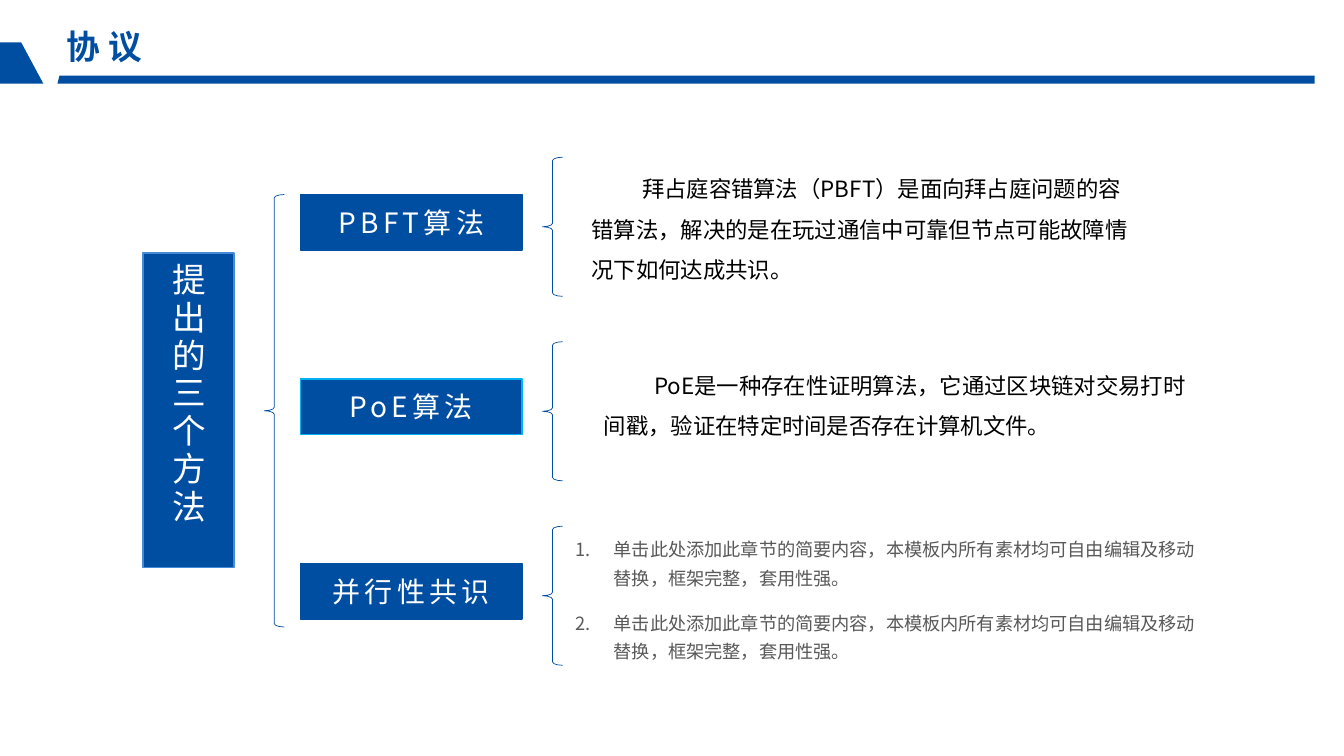
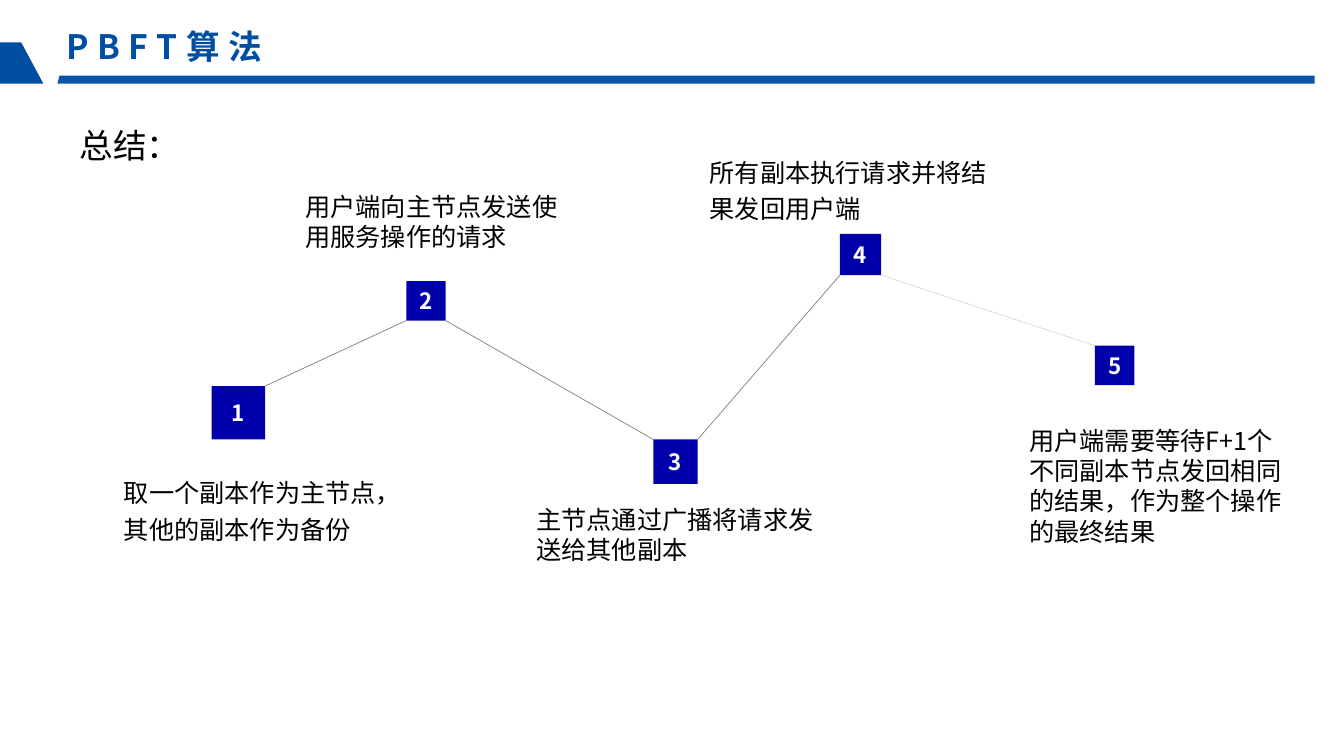
from itertools import pairwise

from lxml import etree
from pptx import Presentation
from pptx.dml.color import RGBColor
from pptx.enum.shapes import MSO_CONNECTOR, MSO_SHAPE
from pptx.enum.text import MSO_ANCHOR, PP_ALIGN
from pptx.oxml.ns import qn
from pptx.util import Inches, Pt

RECT, BRACE = MSO_SHAPE.RECTANGLE, MSO_SHAPE.LEFT_BRACE
STRAIGHT = MSO_CONNECTOR.STRAIGHT
TOP, MIDDLE = MSO_ANCHOR.TOP, MSO_ANCHOR.MIDDLE
LEFT, CENTER = PP_ALIGN.LEFT, PP_ALIGN.CENTER

FONT = "Noto Sans CJK SC"
COLORS = {
    "main": "004EA2", "edge": "448AD7", "cyan": "00B0F0", "navy": "0000AB",
    "white": "FFFFFF", "black": "000000", "text": "595959",
    "link": "808080", "pale": "BFBFBF",
}


def color(name):
    return RGBColor.from_string(COLORS[name])


class Deck:
    def __init__(self):
        self.file = Presentation()
        self.file.slide_width = Inches(13.33)
        self.file.slide_height = Inches(7.5)
        self.slide = None

    def start(self, title, width, alpha=100):
        """Add a slide with the shared header band and title."""
        self.slide = self.file.slides.add_slide(self.file.slide_layouts[6])
        band = self.outline([(0.57, 0.83), (13.04, 0.83), (13.04, 0.75), (0.59, 0.75)])
        if alpha < 100:
            tint = band._element.spPr.find(qn("a:solidFill"))[0]
            etree.SubElement(tint, qn("a:alpha"), val=str(alpha * 1000))
        self.outline([(0.21, 0.42), (0.43, 0.83), (-0.02, 0.83), (-0.02, 0.42)])
        box = self.text(0.66, 0.25, width, 0.42, [title], 24, "main",
                        bold=True, gap=6, anchor=MIDDLE)
        box.text_frame.margin_left = box.text_frame.margin_right = 0

    def outline(self, points):
        points = [(Inches(x), Inches(y)) for x, y in points]
        pen = self.slide.shapes.build_freeform(*points[0])
        pen.add_line_segments(points[1:])
        return self.paint(pen.convert_to_shape(), "main")

    def paint(self, shape, fill=None, line=None, width=1):
        shape.shadow.inherit = False
        if fill:
            shape.fill.solid()
            shape.fill.fore_color.rgb = color(fill)
        else:
            shape.fill.background()
        if line:
            shape.line.color.rgb = color(line)
            shape.line.width = Pt(width)
        else:
            shape.line.fill.background()
        return shape

    def label(self, shape, lines, size, ink, bold=False, gap=0, align=LEFT,
              anchor=TOP, space=1.0):
        frame = shape.text_frame
        frame.word_wrap = True
        frame.vertical_anchor = anchor
        frame.text = "\n".join(lines)
        for par in frame.paragraphs:
            par.alignment = align
            par.line_spacing = space
            font = par.font
            font.name, font.size, font.bold = FONT, Pt(size), bold
            font.color.rgb = color(ink)
            etree.SubElement(font._element, qn("a:ea"), typeface=FONT)
            if gap:
                font._element.set("spc", str(gap * 100))
        return shape

    def text(self, x, y, w, h, lines, size, ink="black", **style):
        box = self.slide.shapes.add_textbox(Inches(x), Inches(y), Inches(w), Inches(h))
        return self.label(box, lines, size, ink, **style)

    def block(self, x, y, w, h, name, size, fill="main", line=None, **style):
        shape = self.slide.shapes.add_shape(RECT, Inches(x), Inches(y), Inches(w), Inches(h))
        self.paint(shape, fill, line)
        return self.label(shape, [name], size, "white", align=CENTER, anchor=MIDDLE, **style)

    def brace(self, x, y, h):
        shape = self.slide.shapes.add_shape(BRACE, Inches(x), Inches(y), Inches(0.2), Inches(h))
        shape.adjustments[0] = 0.171
        self.paint(shape, line="main", width=0.5)

    def link(self, x1, y1, x2, y2, ink, width):
        line = self.slide.shapes.add_connector(
            STRAIGHT, Inches(x1), Inches(y1), Inches(x2), Inches(y2))
        line.line.color.rgb = color(ink)
        line.line.width = Pt(width)
        etree.SubElement(line._element.spPr, qn("a:effectLst"))

    def indent(self, box, left, first, number=False):
        for par in box.text_frame.paragraphs:
            props = par._p.get_or_add_pPr()
            props.set("marL", str(Inches(left)))
            props.set("indent", str(Inches(first)))
            if number:
                par.space_before = par.space_after = Pt(6)
                mark = etree.Element(qn("a:buAutoNum"), type="arabicPeriod")
                props.find(qn("a:defRPr")).addprevious(mark)


def methods(deck):
    deck.start("协议", 2.02)

    # Root
    root = deck.block(1.42, 2.51, 0.9, 3.12, "提出的三个方法", 24, line="edge", gap=3)
    root.text_frame._txBody.bodyPr.set("vert", "eaVert")
    deck.brace(2.62, 1.93, 4.29)

    # Branches
    names = [("PBFT算法", "main"), ("PoE算法", "cyan"), ("并行性共识", "main")]
    for i, (name, edge) in enumerate(names):
        y = 1.56 + 1.83 * i
        deck.block(2.98, y + 0.37, 2.2, 0.55, name, 20, line=edge, gap=3)
        deck.brace(5.38, y, 1.38)

    # Details
    notes = [
        (5.77, 1.56, 5.64, 1.31, "拜占庭容错算法（PBFT）是面向拜占庭问题的容错算法，"
         "解决的是在玩过通信中可靠但节点可能故障情况下如何达成共识。"),
        (5.89, 3.51, 6, 0.91, "PoE是一种存在性证明算法，它通过区块链对交易打时间戳，"
         "验证在特定时间是否存在计算机文件。"),
    ]
    for x, y, w, h, note in notes:
        deck.indent(deck.text(x, y, w, h, [note], 16, space=1.5), 0, 0.5)
    hint = "单击此处添加此章节的简要内容，本模板内所有素材均可自由编辑及移动替换，框架完整，套用性强。"
    box = deck.text(5.61, 5.23, 6.34, 1.4, [hint] * 2, 13, "text", space=1.3)
    deck.indent(box, 0.38, -0.38, number=True)


def steps(deck):
    deck.start("PBFT算法", 2.14, alpha=96)
    deck.text(0.69, 1.19, 3.01, 0.5, ["总结："], 24)

    # Links run between the facing corners of the squares
    nodes = [(2.1, 3.83, 0.53), (4.03, 2.79, 0.39), (6.48, 4.36, 0.44),
             (8.33, 2.32, 0.41), (10.86, 3.43, 0.39)]
    pens = [("link", 0.5)] * 3 + [("pale", 0.25)]
    for ((x1, y1, s1), (x2, y2, s2)), pen in zip(pairwise(nodes), pens):
        if y2 < y1:
            y2 += s2
        else:
            y1 += s1
        deck.link(x1 + s1, y1, x2, y2, *pen)

    # Numbered squares
    for i, (x, y, side) in enumerate(nodes, 1):
        deck.block(x, y, side, side, str(i), 16, fill="navy", bold=True)

    # Captions
    notes = [
        (1.13, 4.63, 2.9, 0.65, 1.2, TOP, "取一个副本作为主节点，其他的副本作为备份"),
        (2.93, 1.85, 2.83, 0.71, 1.0, TOP, "用户端向主节点发送使用服务操作的请求"),
        (5.22, 5.06, 3.17, 0.49, 1.0, MIDDLE, "主节点通过广播将请求发送给其他副本"),
        (6.94, 1.45, 3.17, 0.66, 1.2, TOP, "所有副本执行请求并将结果发回用户端"),
        (10.11, 4.17, 2.77, 1.31, 1.0, TOP,
         "用户端需要等待F+1个不同副本节点发回相同的结果，作为整个操作的最终结果"),
    ]
    for x, y, w, h, space, anchor, note in notes:
        deck.text(x, y, w, h, [note], 18, space=space, anchor=anchor)


def main():
    deck = Deck()
    methods(deck)
    steps(deck)
    deck.file.save("out.pptx")


if __name__ == "__main__":
    main()
